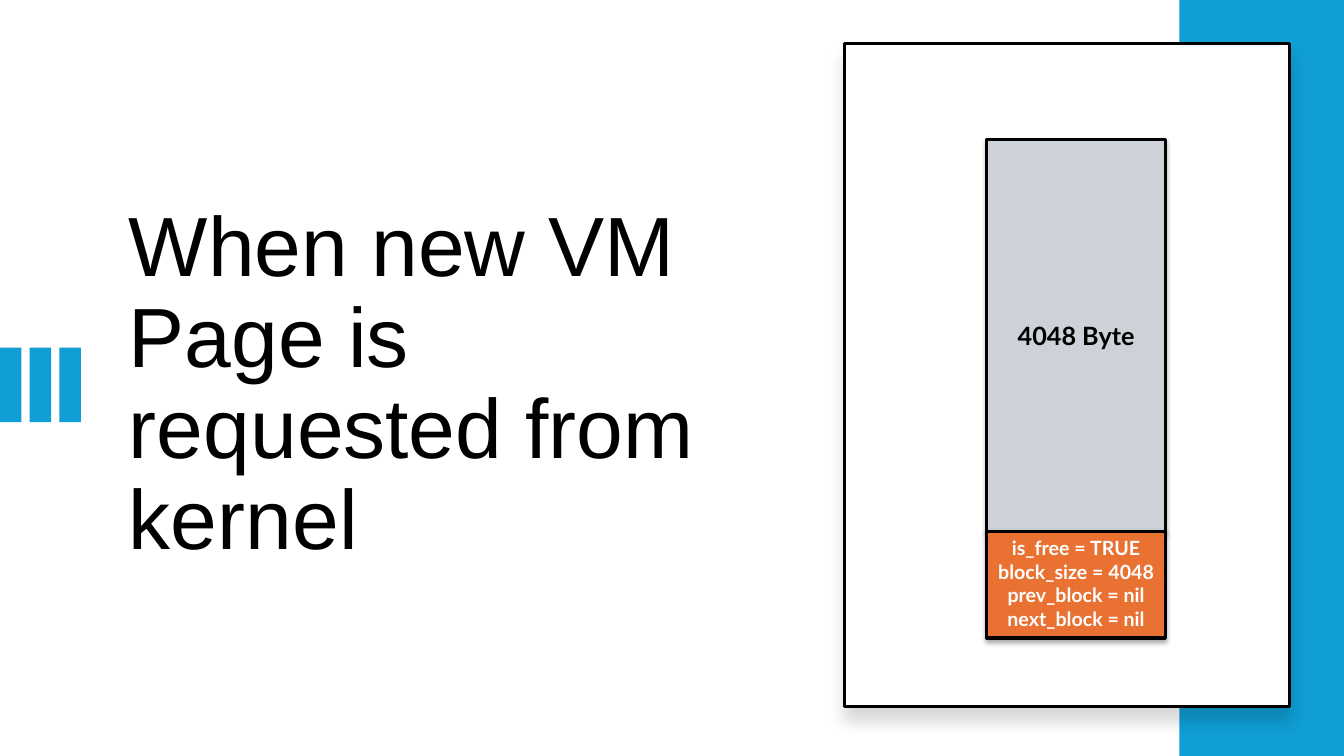
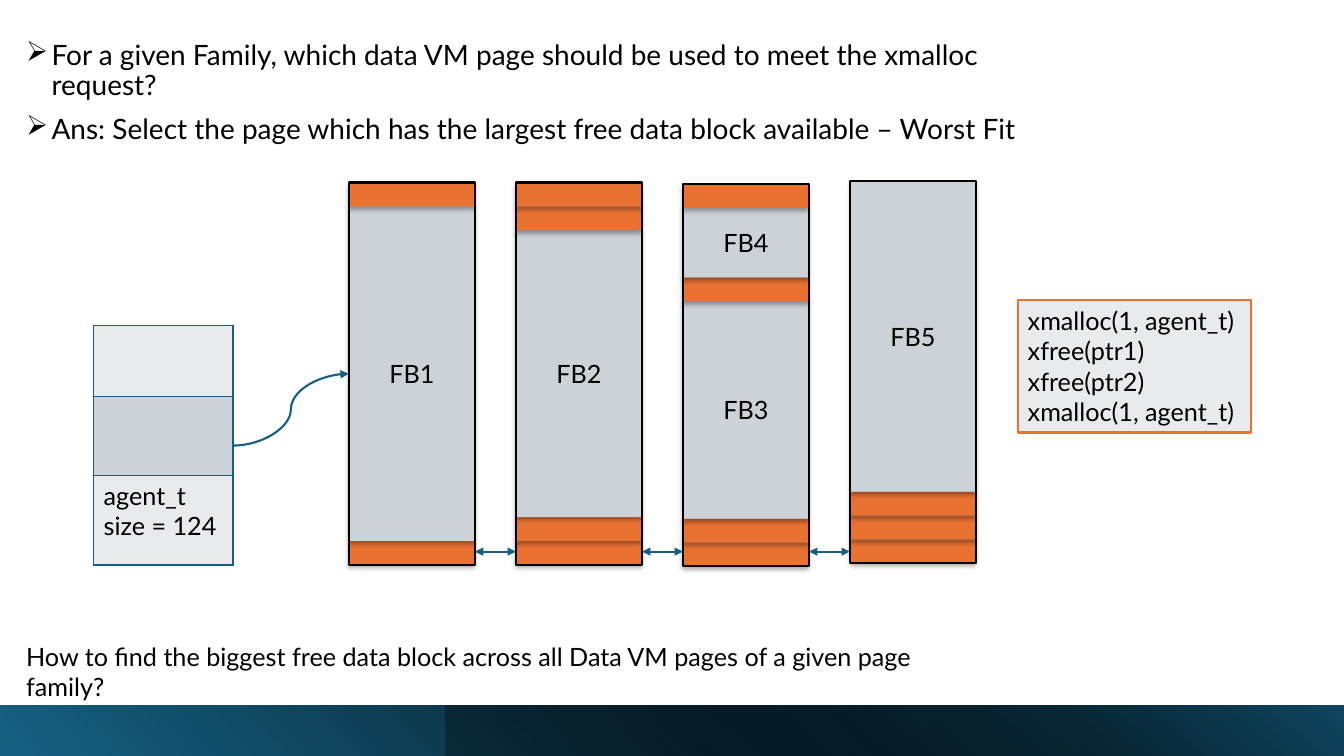
from dataclasses import dataclass
from itertools import pairwise
from typing import Optional

from lxml.etree import SubElement
from pptx import Presentation
from pptx.dml.color import RGBColor
from pptx.enum.shapes import MSO_CONNECTOR, MSO_SHAPE
from pptx.enum.text import MSO_ANCHOR, PP_ALIGN
from pptx.oxml.ns import qn
from pptx.util import Cm, Pt

RECTANGLE = MSO_SHAPE.RECTANGLE
STRAIGHT = MSO_CONNECTOR.STRAIGHT
CURVE = MSO_CONNECTOR.CURVE
LEFT = PP_ALIGN.LEFT
CENTER = PP_ALIGN.CENTER
TOP = MSO_ANCHOR.TOP
MIDDLE = MSO_ANCHOR.MIDDLE


@dataclass(frozen=True)
class Theme:
    black: str = "000000"
    white: str = "FFFFFF"
    accent: str = "0F9ED5"
    free: str = "CCD2D8"
    header: str = "E97132"
    panel: str = "E8EAED"
    teal: str = "156082"
    deep_teal: str = "104862"
    title_font: str = "Arial"
    body_font: str = "Lato"
    title_size: int = 60
    bullet_size: int = 20
    body_size: int = 18
    small_size: int = 14


THEME = Theme()


@dataclass(frozen=True)
class Box:
    left: float
    top: float
    width: float
    height: float


@dataclass(frozen=True)
class TextStyle:
    size: int = THEME.body_size
    font: str = THEME.body_font
    color: str = THEME.black
    bold: bool = False
    align: PP_ALIGN = LEFT
    anchor: MSO_ANCHOR = TOP
    wrap: bool = True
    line_spacing: float = 1.0
    space_before: int = 0
    bullet: str = ""


@dataclass(frozen=True)
class Outline:
    color: str
    width: float


@dataclass(frozen=True)
class Shadow:
    opacity: int
    blur: float
    distance: float


@dataclass(frozen=True)
class Stop:
    position: float
    color: str
    opacity: int = 100


@dataclass(frozen=True)
class Block:
    height: float
    label: str = ""


@dataclass(frozen=True)
class Page:
    top: float
    blocks: tuple[Block, ...]


SOFT_SHADOW = Shadow(32, 3.5, 2.2)
PANEL_SHADOW = Shadow(15, 11, 10)
PAGE_LABEL = TextStyle(align=CENTER, anchor=MIDDLE)
HEADER = Block(0.6)
PAGES = (
    Page(4.6, (HEADER, Block(8.43, "FB1"), HEADER)),
    Page(4.6, (HEADER, HEADER, Block(7.23, "FB2"), HEADER, HEADER)),
    Page(4.64, (HEADER, Block(1.75, "FB4"), HEADER, Block(5.48, "FB3"), HEADER, HEADER)),
    Page(4.56, (Block(7.83, "FB5"), HEADER, HEADER, HEADER)),
)


def rgb(color: str) -> RGBColor:
    return RGBColor.from_string(color)


def lengths(box: Box) -> tuple:
    return Cm(box.left), Cm(box.top), Cm(box.width), Cm(box.height)


def write_text(text_frame, lines: tuple[str, ...], style: TextStyle) -> None:
    text_frame.text = "\n".join(lines)
    for paragraph in text_frame.paragraphs:
        paragraph.alignment = style.align
        paragraph.line_spacing = style.line_spacing
        paragraph.space_before = Pt(style.space_before)
        if style.bullet:
            properties = paragraph._p.get_or_add_pPr()
            properties.set("marL", str(Cm(0.64)))
            properties.set("indent", str(-Cm(0.64)))
            SubElement(properties, qn("a:buChar"), char=style.bullet)
        paragraph.font.size = Pt(style.size)
        paragraph.font.name = style.font
        paragraph.font.bold = style.bold
        paragraph.font.color.rgb = rgb(style.color)


def fill_frame(text_frame, lines: tuple[str, ...], style: TextStyle) -> None:
    text_frame.word_wrap = style.wrap
    text_frame.vertical_anchor = style.anchor
    write_text(text_frame, lines, style)


def add_text(slide, box: Box, lines: tuple[str, ...], style: TextStyle) -> None:
    fill_frame(slide.shapes.add_textbox(*lengths(box)).text_frame, lines, style)


def add_shadow(shape, shadow: Shadow) -> None:
    effects = shape._element.spPr.find(qn("a:effectLst"))
    outer = SubElement(
        effects,
        qn("a:outerShdw"),
        blurRad=str(Pt(shadow.blur)),
        dist=str(Pt(shadow.distance)),
        dir="5400000",
        algn="ctr",
        rotWithShape="0",
    )
    color = SubElement(outer, qn("a:srgbClr"), val=THEME.black)
    SubElement(color, qn("a:alpha"), val=str(shadow.opacity * 1000))


def add_rectangle(
    slide,
    box: Box,
    fill: Optional[str] = None,
    outline: Optional[Outline] = None,
    shadow: Optional[Shadow] = None,
    lines: tuple[str, ...] = (),
    style: TextStyle = PAGE_LABEL,
):
    shape = slide.shapes.add_shape(RECTANGLE, *lengths(box))
    shape.shadow.inherit = False
    if fill:
        shape.fill.solid()
        shape.fill.fore_color.rgb = rgb(fill)
    else:
        shape.fill.background()
    if outline:
        shape.line.color.rgb = rgb(outline.color)
        shape.line.width = Pt(outline.width)
    else:
        shape.line.fill.background()
    if shadow:
        add_shadow(shape, shadow)
    if lines:
        fill_frame(shape.text_frame, lines, style)
    return shape


def add_gradient_band(slide, box: Box, angle: float, stops: tuple[Stop, Stop]) -> None:
    shape = add_rectangle(slide, box)
    shape.fill.gradient()
    shape.fill.gradient_angle = angle
    for gradient_stop, stop in zip(shape.fill.gradient_stops, stops):
        gradient_stop.position = stop.position
        gradient_stop.color.rgb = rgb(stop.color)
    colors = shape._element.spPr.iterfind(".//" + qn("a:gs") + "/" + qn("a:srgbClr"))
    for color, stop in zip(colors, stops):
        if stop.opacity < 100:
            SubElement(color, qn("a:alpha"), val=str(stop.opacity * 1000))


def add_arrow(
    slide,
    kind: MSO_CONNECTOR,
    begin: tuple[float, float],
    end: tuple[float, float],
    ends: tuple[str, ...],
) -> None:
    points = (Cm(value) for value in begin + end)
    connector = slide.shapes.add_connector(kind, *points)
    connector.line.color.rgb = rgb(THEME.teal)
    connector.line.width = Pt(1.5)
    line = connector.line._get_or_add_ln()
    for tag in ends:
        SubElement(line, qn(tag), type="triangle")
    SubElement(connector._element.spPr, qn("a:effectLst"))


def add_family_table(slide) -> None:
    rows = (
        (1.8, THEME.panel, ()),
        (1.98, THEME.free, ()),
        (2.26, THEME.panel, ("agent_t", "size = 124")),
    )
    box = Box(2.36, 8.2, 3.51, sum(height for height, _, _ in rows))
    table = slide.shapes.add_table(len(rows), 1, *lengths(box)).table
    table.first_row = False
    table.horz_banding = False
    for index, (height, color, lines) in enumerate(rows):
        table.rows[index].height = Cm(height)
        cell = table.cell(index, 0)
        properties = cell._tc.get_or_add_tcPr()
        for side in ("a:lnL", "a:lnR", "a:lnT", "a:lnB"):
            border = SubElement(properties, qn(side), w=str(Pt(1)))
            border_fill = SubElement(border, qn("a:solidFill"))
            SubElement(border_fill, qn("a:srgbClr"), val=THEME.teal)
        cell.fill.solid()
        cell.fill.fore_color.rgb = rgb(color)
        if lines:
            write_text(cell.text_frame, lines, TextStyle())


def add_page(slide, left: float, width: float, page: Page) -> None:
    total = sum(block.height for block in page.blocks)
    bottom = page.top + total
    for block in reversed(page.blocks):
        bottom -= block.height
        fill = THEME.free if block.label else THEME.header
        lines = (block.label,) if block.label else ()
        box = Box(left, bottom, width, block.height)
        add_rectangle(slide, box, fill, shadow=SOFT_SHADOW, lines=lines)
    add_rectangle(slide, Box(left, page.top, width, total), outline=Outline(THEME.black, 1.5))


def build_new_page_slide(slide) -> None:
    title = TextStyle(THEME.title_size, THEME.title_font, anchor=MIDDLE, line_spacing=0.9)
    add_text(slide, Box(3, 3.18, 16.76, 13.08), ("When new VM Page is requested from kernel",), title)
    for index in range(3):
        add_rectangle(slide, Box(index * 0.75, 8.76, 0.54, 1.88), THEME.accent)
    add_rectangle(slide, Box(29.72, 0, 4.15, 19.05), THEME.accent)
    outline = Outline(THEME.black, 2.25)
    add_rectangle(slide, Box(21.29, 1.09, 11.2, 16.71), THEME.white, outline, PANEL_SHADOW)
    free_label = TextStyle(bold=True, align=CENTER, anchor=MIDDLE)
    header_label = TextStyle(THEME.small_size, color=THEME.white, bold=True, align=CENTER, wrap=False)
    fields = ("is_free = TRUE", "block_size = 4048", "prev_block = nil", "next_block = nil")
    add_rectangle(
        slide, Box(24.87, 3.51, 4.5, 9.88), THEME.free, outline, SOFT_SHADOW, ("4048 Byte",), free_label
    )
    add_rectangle(
        slide, Box(24.87, 13.39, 4.5, 2.69), THEME.header, outline, SOFT_SHADOW, fields, header_label
    )


def build_worst_fit_slide(slide) -> None:
    bullets = (
        "For a given Family, which data VM page should be used to meet the xmalloc request?",
        "Ans: Select the page which has the largest free data block available – Worst Fit",
    )
    bullet_style = TextStyle(THEME.bullet_size, line_spacing=0.9, space_before=10, bullet="➢")
    add_text(slide, Box(0.41, 0.91, 27.23, 3.18), bullets, bullet_style)
    add_gradient_band(
        slide, Box(0, 17.78, 33.87, 1.27), 40, (Stop(0, THEME.teal), Stop(0.85, THEME.black))
    )
    add_gradient_band(
        slide, Box(11.22, 17.78, 22.65, 1.27), 50, (Stop(0, THEME.black, 26), Stop(1, THEME.deep_teal))
    )
    first_left, pitch, width = 8.79, 4.21, 3.18
    lefts = [first_left + index * pitch for index in range(len(PAGES))]
    for left, page in zip(lefts, PAGES):
        add_page(slide, left, width, page)
    for left, next_left in pairwise(lefts):
        add_arrow(slide, STRAIGHT, (left + width, 13.9), (next_left, 13.9), ("a:headEnd", "a:tailEnd"))
    add_family_table(slide)
    add_arrow(slide, CURVE, (5.87, 11.23), (first_left, 9.42), ("a:tailEnd",))
    calls = ("xmalloc(1, agent_t)", "xfree(ptr1)", "xfree(ptr2)", "xmalloc(1, agent_t)")
    add_rectangle(
        slide,
        Box(25.65, 7.57, 5.87, 3.33),
        THEME.panel,
        Outline(THEME.header, 1.5),
        lines=calls,
        style=TextStyle(wrap=False),
    )
    question = "How to find the biggest free data block across all Data VM pages of a given page family?"
    add_text(slide, Box(0.41, 16.03, 24.38, 1.02), (question,), TextStyle())


def main() -> None:
    presentation = Presentation()
    presentation.slide_width = Cm(33.87)
    presentation.slide_height = Cm(19.05)
    blank = presentation.slide_layouts[6]
    for build in (build_new_page_slide, build_worst_fit_slide):
        build(presentation.slides.add_slide(blank))
    presentation.save("out.pptx")


if __name__ == "__main__":
    main()
